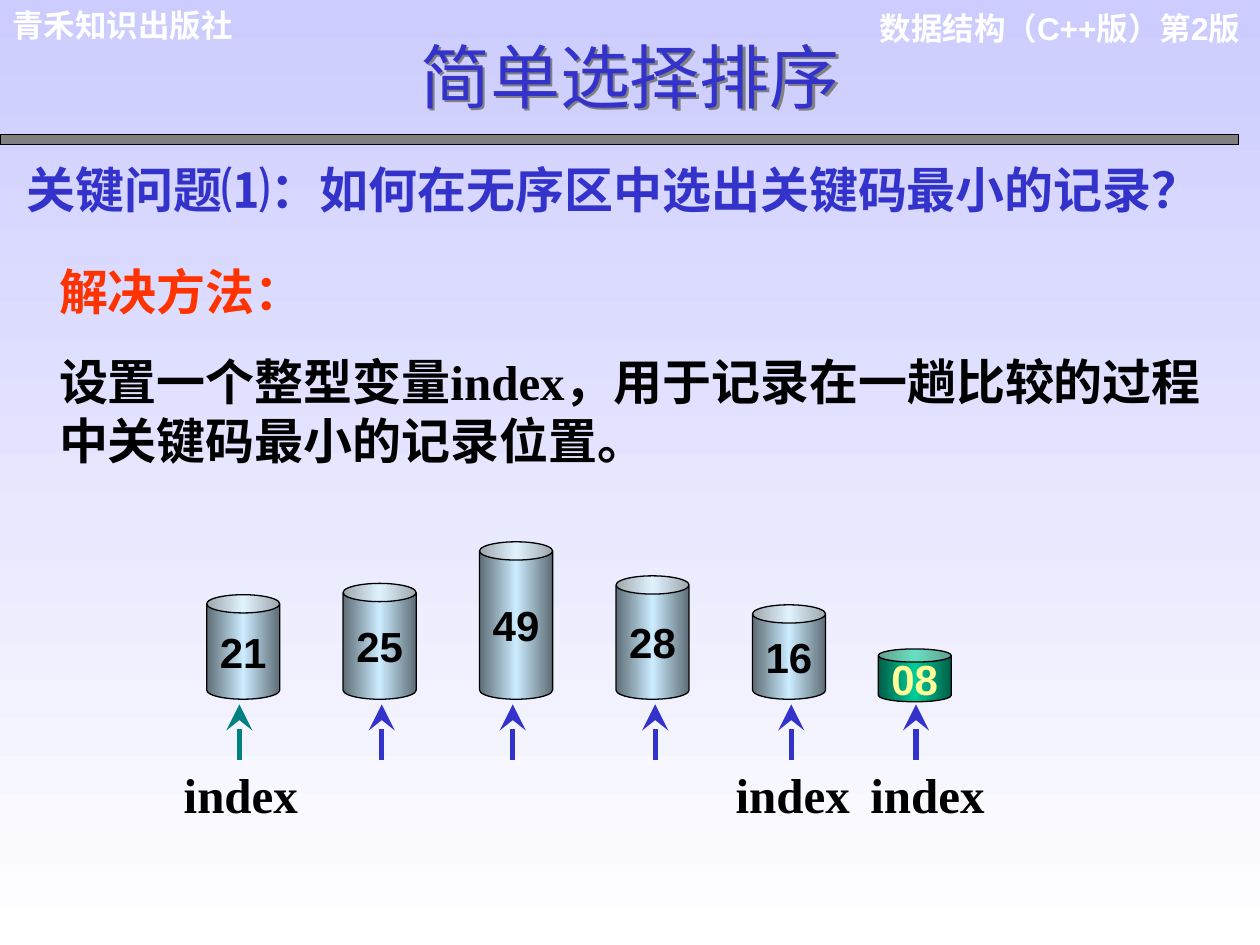
from lxml.etree import SubElement
from pptx import Presentation
from pptx.dml.color import RGBColor
from pptx.enum.shapes import MSO_CONNECTOR as CONN, MSO_SHAPE as SHAPE
from pptx.enum.text import MSO_ANCHOR as ANCHOR, PP_ALIGN as ALIGN
from pptx.oxml.ns import qn
from pptx.util import Inches, Pt

COLORS = {
    "white": "FFFFFF", "black": "000000", "blue": "3333CC", "red": "FF3300",
    "teal": "008080", "gray": "808080", "sky": "CCCCFF", "steel": "5E6D76",
    "ice": "CCECFF", "pine": "005E47", "jade": "00CC99", "cream": "FFFF99",
}
WIDTH, HEIGHT = Inches(10), Inches(7.5)
COLS, ROWS = 100, 75
CJK = "Noto Sans CJK SC"
HEADER = {"size": Pt(18), "name": "Arial", "bold": True}
BODY = {"size": Pt(28), "name": "Times New Roman", "bold": True}
QUESTION = {**BODY, "name": CJK}
TITLE = {"size": Pt(40), "name": "Lato"}
NUMBER = {"size": Pt(24), "name": "Arial", "bold": True}


def rgb(color):
    """Return the named colour."""
    return RGBColor.from_string(COLORS[color])


def grid(x, y, *size):
    """Turn grid columns and rows into lengths."""
    units = (WIDTH / COLS, HEIGHT / ROWS) * 2
    return [round(n * unit) for n, unit in zip((x, y, *size), units)]


def add_run(p, text, color, fmt):
    """Add a run with the given format values."""
    r = p.add_run()
    r.text = text
    r.font.color.rgb = rgb(color)
    for name, value in fmt.items():
        setattr(r.font, name, value)
    SubElement(r.font._element, qn("a:ea"), typeface=CJK)


def add_text(s, at, paragraphs, fmt, align=ALIGN.LEFT, anchor=ANCHOR.TOP):
    """Add a wrapped text box with one run per paragraph."""
    sp = s.shapes.add_textbox(*grid(*at))
    tf = sp.text_frame
    tf.word_wrap = True
    tf.vertical_anchor = anchor
    for i, (text, color) in enumerate(paragraphs):
        p = tf.add_paragraph() if i else tf.paragraphs[0]
        p.alignment = align
        if i:
            p.space_before = Pt(17.5)
        add_run(p, text, color, fmt)
    return sp


def set_gradient(fill, element, colors, angle):
    """Fill with evenly spaced colour stops."""
    fill.gradient()
    fill.gradient_angle = angle
    stops = element.find(".//" + qn("a:gsLst"))
    stops.clear()
    for i, color in enumerate(colors):
        stop = SubElement(stops, qn("a:gs"), pos=str(100000 * i // (len(colors) - 1)))
        SubElement(stop, qn("a:srgbClr"), val=COLORS[color])


def add_shape(s, kind, at):
    """Add a thinly outlined shape without shadow."""
    sp = s.shapes.add_shape(kind, *grid(*at))
    sp.shadow.inherit = False
    sp.line.color.rgb = rgb("black")
    sp.line.width = Pt(0.75)
    return sp


def add_can(s, x, bottom, height, text, colors, font_color):
    """Add a numbered can standing on its bottom edge."""
    sp = add_shape(s, SHAPE.CAN, (x, bottom - height, 5.8, height))
    set_gradient(sp.fill, sp.element, colors, 0)
    tf = sp.text_frame
    tf.word_wrap = False
    tf.vertical_anchor = ANCHOR.MIDDLE
    p = tf.paragraphs[0]
    p.alignment = ALIGN.CENTER
    add_run(p, text, font_color, NUMBER)


def add_arrow(s, x, color):
    """Add an upward arrow below a can."""
    line = s.shapes.add_connector(CONN.STRAIGHT, *grid(x, 60.3, x, 55.9))
    line.line.color.rgb = rgb(color)
    line.line.width = Pt(3)
    sppr = line.element.spPr
    SubElement(sppr.find(qn("a:ln")), qn("a:tailEnd"), type="stealth", w="lg", len="lg")
    SubElement(sppr, qn("a:effectLst"))


def add_title(s, text):
    """Add the centred title with a shadow."""
    sp = add_text(s, (0, 2.5, 100, 7.3), [(text, "blue")], TITLE, ALIGN.CENTER, ANCHOR.BOTTOM)
    effects = SubElement(sp.element.spPr, qn("a:effectLst"))
    shadow = SubElement(effects, qn("a:outerShdw"), dist=str(Pt(2)), dir="2700000")
    SubElement(shadow, qn("a:srgbClr"), val=COLORS["gray"])


def main():
    """Build and save the slide."""
    prs = Presentation()
    prs.slide_width, prs.slide_height = WIDTH, HEIGHT
    s = prs.slides.add_slide(prs.slide_layouts[6])
    set_gradient(s.background.fill, s.element, ("sky", "white"), 270)

    add_text(s, (67.7, 0.2, 31.7, 7), [("数据结构（C++版）第2版", "white")], HEADER, ALIGN.RIGHT)
    add_text(s, (0, 0, 27.1, 4), [("青禾知识出版社", "white")], HEADER)
    rule = add_shape(s, SHAPE.RECTANGLE, (0, 10.7, 98.3, 0.8))
    rule.fill.solid()
    rule.fill.fore_color.rgb = rgb("gray")

    method = "设置一个整型变量index，用于记录在一趟比较的过程中关键码最小的记录位置。"
    add_text(s, (3.7, 20.3, 94.5, 17.5), [("解决方法：", "red"), (method, "black")], BODY)
    question = "关键问题⑴：如何在无序区中选出关键码最小的记录？"
    add_text(s, (1.1, 12.2, 96.1, 5.7), [(question, "blue")], QUESTION)

    records = [("21", 8.3), ("25", 9.2), ("49", 12.5), ("28", 9.8), ("16", 7.5)]
    for i, (text, height) in enumerate(records):
        add_can(s, 16.4 + 10.83 * i, 55.5, height, text, ("steel", "ice", "steel"), "black")
    add_can(s, 69.7, 55.7, 4.2, "08", ("pine", "jade", "pine"), "cream")

    for i, x in enumerate((19, 30.3, 40.7, 52, 62.8, 72.7)):
        add_arrow(s, x, "blue" if i else "teal")
    for x in (13.6, 57.4, 68.1):
        add_text(s, (x, 60.2, 11.4, 5.7), [("index", "black")], BODY)
    add_title(s, "简单选择排序")
    prs.save("out.pptx")


if __name__ == "__main__":
    main()
